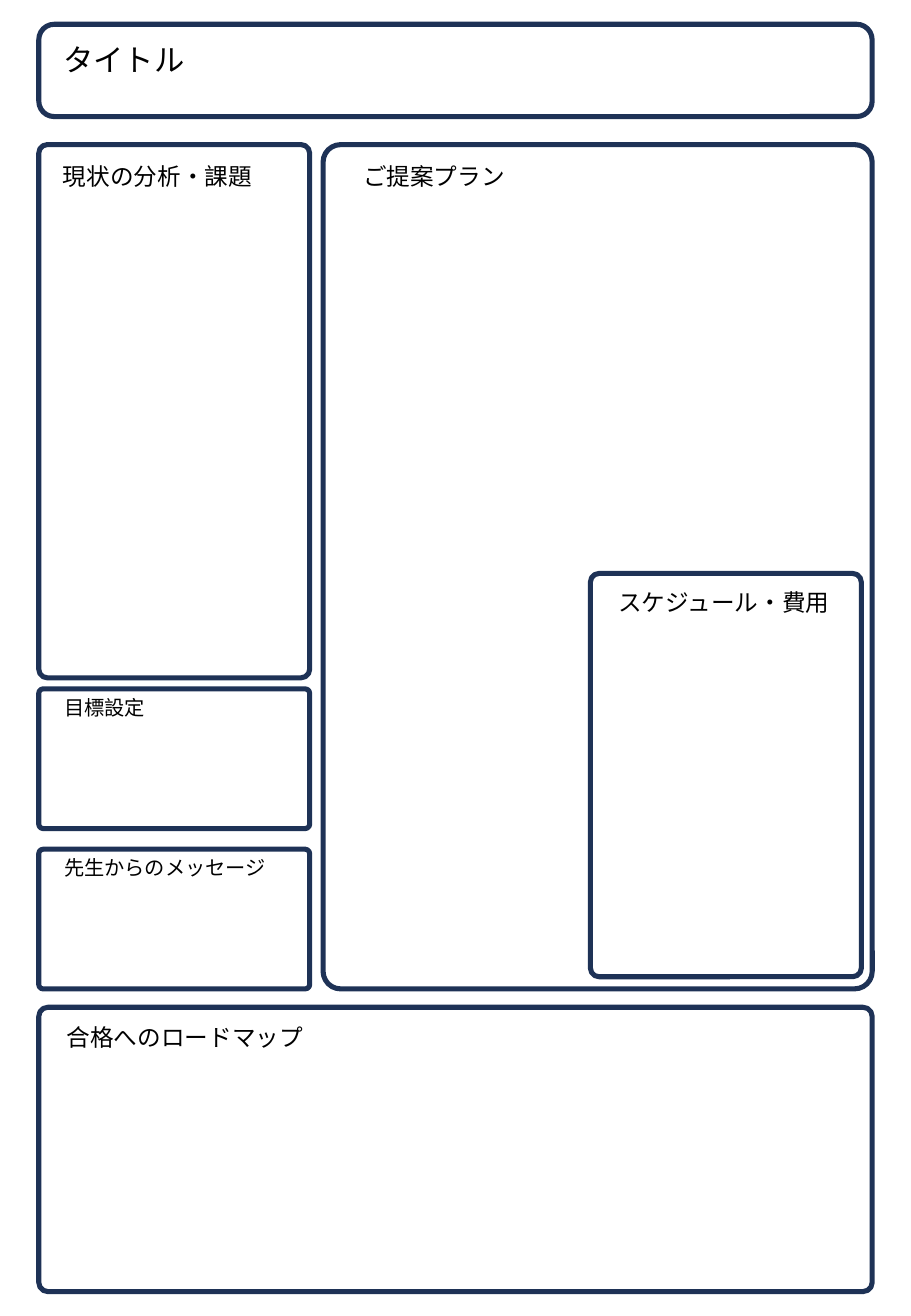
from pptx import Presentation
from pptx import util as u
from pptx.dml.color import RGBColor
from pptx.enum import shapes, text

NAVY = RGBColor(0x1E, 0x32, 0x56)
BLACK = RGBColor(0x00, 0x00, 0x00)
LATIN_FONT = "Calibri"
JAPANESE_FONT = "Noto Sans CJK JP"

# Page grid, in points
PAGE_WIDTH, PAGE_HEIGHT = 540, 779.8
LEFT, RIGHT = 23, 517
SIDE_WIDTH = 160.6
PLAN_LEFT = 191.5
BODY_TOP, BODY_BOTTOM = 85.7, 586
SMALL_HEIGHT = 82.8
LABEL_HEIGHTS = {12: 21.6, 14: 24.5, 18: 28.8}


def add_frame(slide, box, corner):
    """Rounded outline around one region."""
    frame = slide.shapes.add_shape(
        shapes.MSO_SHAPE.ROUNDED_RECTANGLE, *[u.Pt(length) for length in box])
    frame.adjustments[0] = corner
    frame.shadow.inherit = False
    frame.fill.background()
    frame.line.color.rgb = NAVY
    frame.line.width = u.Pt(3)


def format_label(label, box, wording, size, font_name, wrap=False):
    """Place a heading and set its type."""
    label.left, label.top, label.width, label.height = [u.Pt(length) for length in box]
    frame = label.text_frame
    frame.text = wording
    frame.word_wrap = wrap
    frame.auto_size = text.MSO_AUTO_SIZE.SHAPE_TO_FIT_TEXT
    frame.vertical_anchor = text.MSO_ANCHOR.TOP
    paragraph = frame.paragraphs[0]
    paragraph.alignment = text.PP_ALIGN.LEFT
    font = paragraph.runs[0].font
    font.size = u.Pt(size)
    font.name = font_name
    font.color.rgb = BLACK


def add_title(slide, box):
    """Title region at the head of the page."""
    left, top, width, height = box
    add_frame(slide, box, 0.167)
    format_label(slide.shapes.title, (left + 7.2, top + 6.5, 87, LABEL_HEIGHTS[18]),
                 "タイトル", 18, LATIN_FONT)


def add_panel(slide, box, wording, offset, label_width,
              size=14, font_name=LATIN_FONT, wrap=False):
    """Framed region with a heading at its upper left."""
    left, top, width, height = box
    add_frame(slide, box, 0.032)
    label = slide.shapes.add_textbox(0, 0, 0, 0)
    label_box = (left + offset[0], top + offset[1], label_width, LABEL_HEIGHTS[size])
    format_label(label, label_box, wording, size, font_name, wrap)


def build_proposal(slide):
    full_width = RIGHT - LEFT
    add_title(slide, (LEFT, 14.4, full_width, 54.7))

    # Analysis and plan
    add_panel(slide, (LEFT, BODY_TOP, SIDE_WIDTH, 316),
              "現状の分析・課題", (7.2, 6.5), 127.4)
    add_panel(slide, (PLAN_LEFT, BODY_TOP, RIGHT - PLAN_LEFT, BODY_BOTTOM - BODY_TOP),
              "ご提案プラン", (16.6, 6.5), 102.2)

    # Schedule inside the plan
    add_panel(slide, (350, 339.8, SIDE_WIDTH, 239),
              "スケジュール・費用", (9.4, 5), 141.8)

    # Goal and message
    small_panels = [(408.2, "目標設定", 63.4),
                    (BODY_BOTTOM - SMALL_HEIGHT, "先生からのメッセージ", 135.4)]
    for top, wording, label_width in small_panels:
        add_panel(slide, (LEFT, top, SIDE_WIDTH, SMALL_HEIGHT), wording,
                  (7.9, 0), label_width, 12, JAPANESE_FONT)

    # Roadmap
    add_panel(slide, (LEFT, 596.9, full_width, 168.5),
              "合格へのロードマップ", (9.4, 5.8), 435, wrap=True)


def main():
    presentation = Presentation()
    presentation.slide_width = u.Pt(PAGE_WIDTH)
    presentation.slide_height = u.Pt(PAGE_HEIGHT)
    slide = presentation.slides.add_slide(presentation.slide_layouts[5])
    build_proposal(slide)
    presentation.save("out.pptx")


if __name__ == "__main__":
    main()
